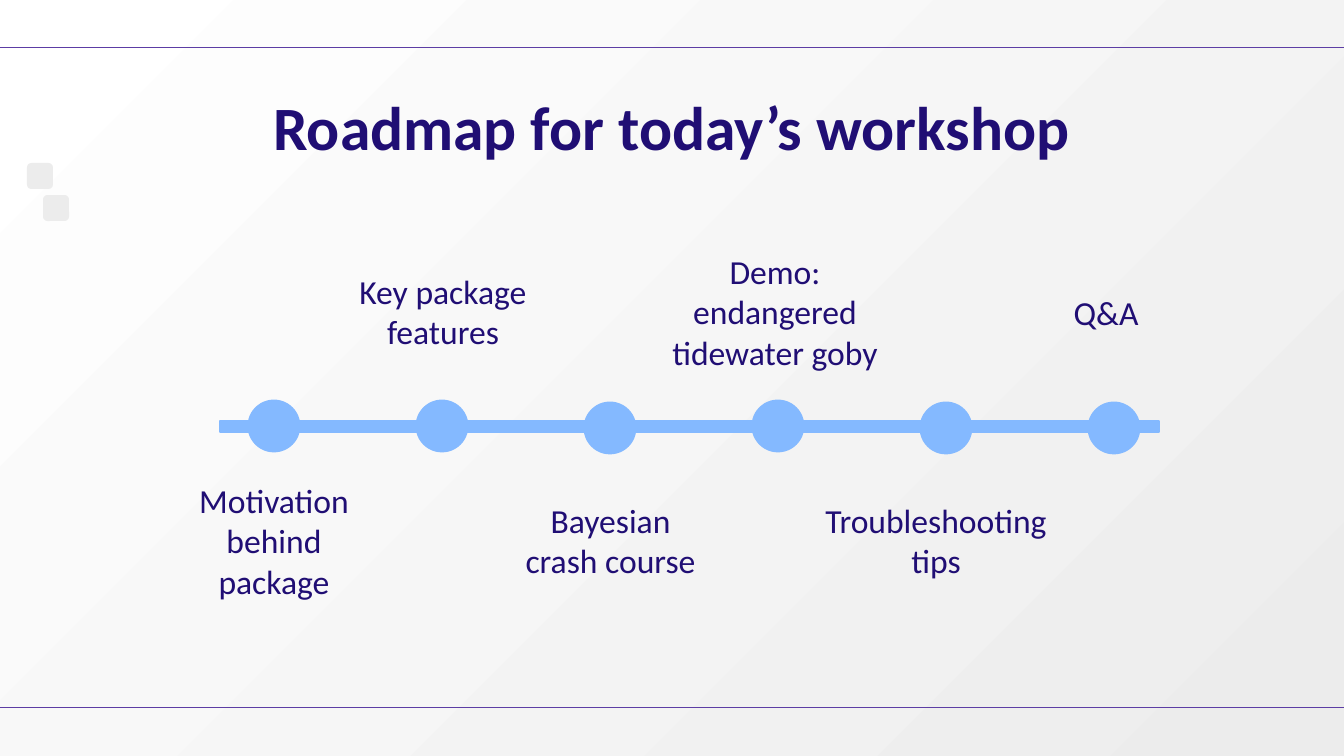
from pptx import Presentation
from pptx import util as u
from pptx.dml.color import RGBColor
from pptx.enum import shapes, text
from pptx.oxml.ns import qn
from lxml import etree

PX = 12700 * 72 / 100.8
HUES = {"ink": "200E74", "sky": "84B9FF", "rule": "5C3DA4",
        "white": "FFFFFF", "grey": "ECECEC"}
HUES = {name: RGBColor.from_string(hue) for name, hue in HUES.items()}
KIND = shapes.MSO_SHAPE

deck = Presentation()
deck.slide_width, deck.slide_height = u.Emu(round(1344 * PX)), u.Emu(round(756 * PX))
slide = deck.slides.add_slide(deck.slide_layouts[6])


def draw(kind, box, hue, edge=0):
    item = slide.shapes.add_shape(kind, *[round(n * PX) for n in box])
    item.shadow.inherit = False
    item.fill.solid()
    item.fill.fore_color.rgb = HUES[hue]
    if edge:
        item.line.color.rgb = HUES[hue]
        item.line.width = u.Pt(edge)
    else:
        item.line.fill.background()
    return item


def write(words, box, size, bold=False, inset=None):
    item = slide.shapes.add_textbox(*[round(n * PX) for n in box])
    frame = item.text_frame
    frame.word_wrap = True
    frame.vertical_anchor = text.MSO_ANCHOR.TOP
    if inset is not None:
        frame.margin_left = frame.margin_right = round(inset * PX)
        frame.margin_top = frame.margin_bottom = round(inset * PX)
    frame.text = words
    para = frame.paragraphs[0]
    para.alignment = text.PP_ALIGN.CENTER
    font = para.runs[0].font
    font.name, font.size, font.bold = "Calibri", u.Pt(size), bold
    font.color.rgb = HUES["ink"]
    return item


back = slide.background.fill
back.gradient()
back.gradient_angle = 315
for stop, hue, place in zip(back.gradient_stops, ("white", "grey"), (0, 1)):
    stop.color.rgb = HUES[hue]
    stop.position = place

for y in (48, 708):
    rule = slide.shapes.add_connector(shapes.MSO_CONNECTOR.STRAIGHT,
                                      0, round(y * PX), deck.slide_width, round(y * PX))
    rule.line.color.rgb = HUES["rule"]
    rule.line.width = u.Pt(0.75)
    etree.SubElement(rule._element.spPr, qn("a:effectLst"))

for x, y in ((43, 195), (27, 163)):
    draw(KIND.ROUNDED_RECTANGLE, (x, y, 26, 26), "grey")

write("Roadmap for today’s workshop", (105, 76, 1134, 80), 44, True, 13)

draw(KIND.RECTANGLE, (220, 421, 939, 11), "sky", 2)

steps = [
    ("Motivation behind package", 401, (164, 475, 220, 132)),
    ("Key package features", 401, (333, 266, 220, 92)),
    ("Bayesian crash course", 403, (509, 495, 203, 92)),
    ("Demo: endangered tidewater goby", 401, (642, 246, 266, 132)),
    ("Troubleshooting tips", 403, (803, 495, 266, 92)),
    ("Q&A", 403, (973, 287, 266, 50)),
]
for i, (words, y, box) in enumerate(steps):
    draw(KIND.OVAL, (249 + 168 * i, y, 50, 50), "sky", 2)
for words, y, box in steps:
    label = write(words, box, 24)
    label.text_frame.auto_size = text.MSO_AUTO_SIZE.SHAPE_TO_FIT_TEXT

deck.save("out.pptx")
